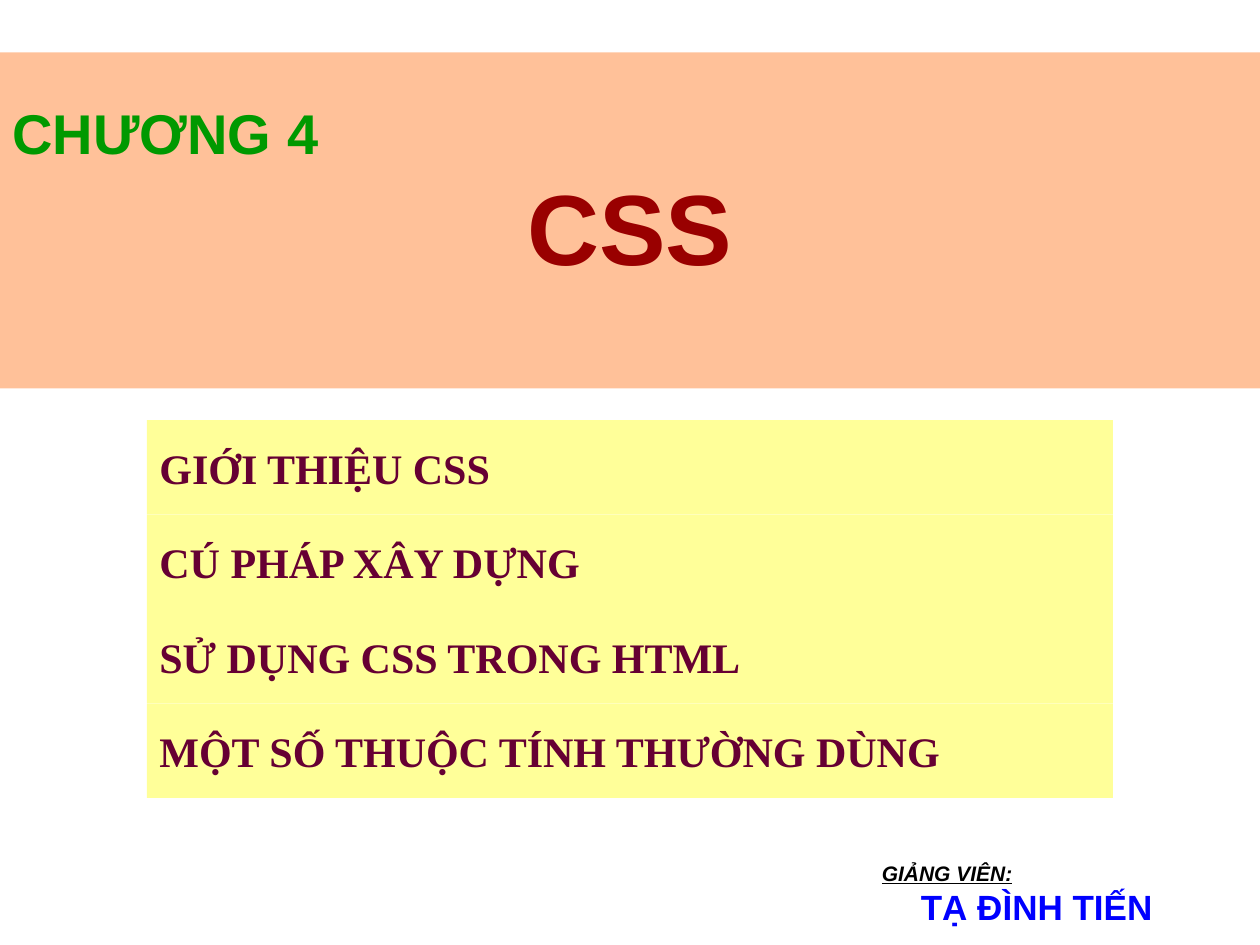
import pptx
import pptx.dml.color
import pptx.enum.shapes
import pptx.enum.text
import pptx.oxml.ns
import pptx.util
from lxml import etree

RGBColor = pptx.dml.color.RGBColor
ORANGE = RGBColor(0xFF, 0x66, 0x00)
YELLOW = RGBColor(0xFF, 0xFF, 0x00)
GREEN = RGBColor(0x00, 0x99, 0x00)
RED = RGBColor(0x99, 0x00, 0x00)
PLUM = RGBColor(0x66, 0x00, 0x33)
BLACK = RGBColor(0x00, 0x00, 0x00)
BLUE = RGBColor(0x00, 0x00, 0xFF)

WIDTH = pptx.util.Inches(10)
HEIGHT = pptx.util.Inches(7.5)
COLUMNS, ROWS = 120, 90
TOPICS = [
    "GIỚI THIỆU CSS",
    "CÚ PHÁP XÂY DỰNG",
    "SỬ DỤNG CSS TRONG HTML",
    "MỘT SỐ THUỘC TÍNH THƯỜNG DÙNG",
]


def place(box):
    left, top, width, height = box
    return (
        round(left * WIDTH / COLUMNS),
        round(top * HEIGHT / ROWS),
        round(width * WIDTH / COLUMNS),
        round(height * HEIGHT / ROWS),
    )


def add_panel(slide, box, color):
    shape = slide.shapes.add_shape(
        pptx.enum.shapes.MSO_SHAPE.RECTANGLE, *place(box)
    )
    shape.shadow.inherit = False
    shape.line.fill.background()
    shape.fill.solid()
    shape.fill.fore_color.rgb = color
    qn = pptx.oxml.ns.qn
    color_element = shape.fill._xPr.find(qn("a:solidFill")).find(qn("a:srgbClr"))
    etree.SubElement(color_element, qn("a:alpha")).set("val", "40000")
    return shape


def write(paragraph, text, size, color, name="Arial", alignment="LEFT"):
    paragraph.text = text
    paragraph.alignment = getattr(pptx.enum.text.PP_ALIGN, alignment)
    paragraph.font.name = name
    paragraph.font.size = pptx.util.Pt(size)
    paragraph.font.bold = True
    paragraph.font.color.rgb = color


def add_title(slide, box):
    left, top, width, height = box
    add_panel(slide, box, ORANGE)
    text_box = (left, top + 0.12 * height, width, 0.6 * height)
    frame = slide.shapes.add_textbox(*place(text_box)).text_frame
    frame.word_wrap = True
    write(frame.paragraphs[0], "CHƯƠNG 4", 32, GREEN)
    write(frame.add_paragraph(), "CSS", 57, RED, alignment="CENTER")


def add_topics(slide, box):
    left, top, width, height = box
    step = height / len(TOPICS)
    for index, topic in enumerate(TOPICS):
        shape = add_panel(slide, (left, top + index * step, width, step), YELLOW)
        frame = shape.text_frame
        frame.word_wrap = True
        frame.vertical_anchor = pptx.enum.text.MSO_ANCHOR.MIDDLE
        write(frame.paragraphs[0], topic, 24, PLUM, name="Times New Roman")


def add_lecturer(slide, box):
    frame = slide.shapes.add_textbox(*place(box)).text_frame
    frame.word_wrap = False
    frame.margin_top = pptx.util.Inches(0.18)
    label = frame.paragraphs[0]
    write(label, "GIẢNG VIÊN:", 12, BLACK)
    label.font.italic = True
    label.font.underline = True
    lecturer = frame.add_paragraph()
    lecturer._p.get_or_add_pPr().set("marL", str(pptx.util.Inches(0.31)))
    write(lecturer, "TẠ ĐÌNH TIẾN", 20, BLUE)


def main():
    presentation = pptx.Presentation()
    presentation.slide_width = WIDTH
    presentation.slide_height = HEIGHT
    slide = presentation.slides.add_slide(presentation.slide_layouts[6])
    add_title(slide, (0, 5, COLUMNS, 32))
    add_lecturer(slide, (82.8, 79.8, 28.2, 9.2))
    add_topics(slide, (14, 40, 92, 36))
    presentation.save("out.pptx")


if __name__ == "__main__":
    main()
